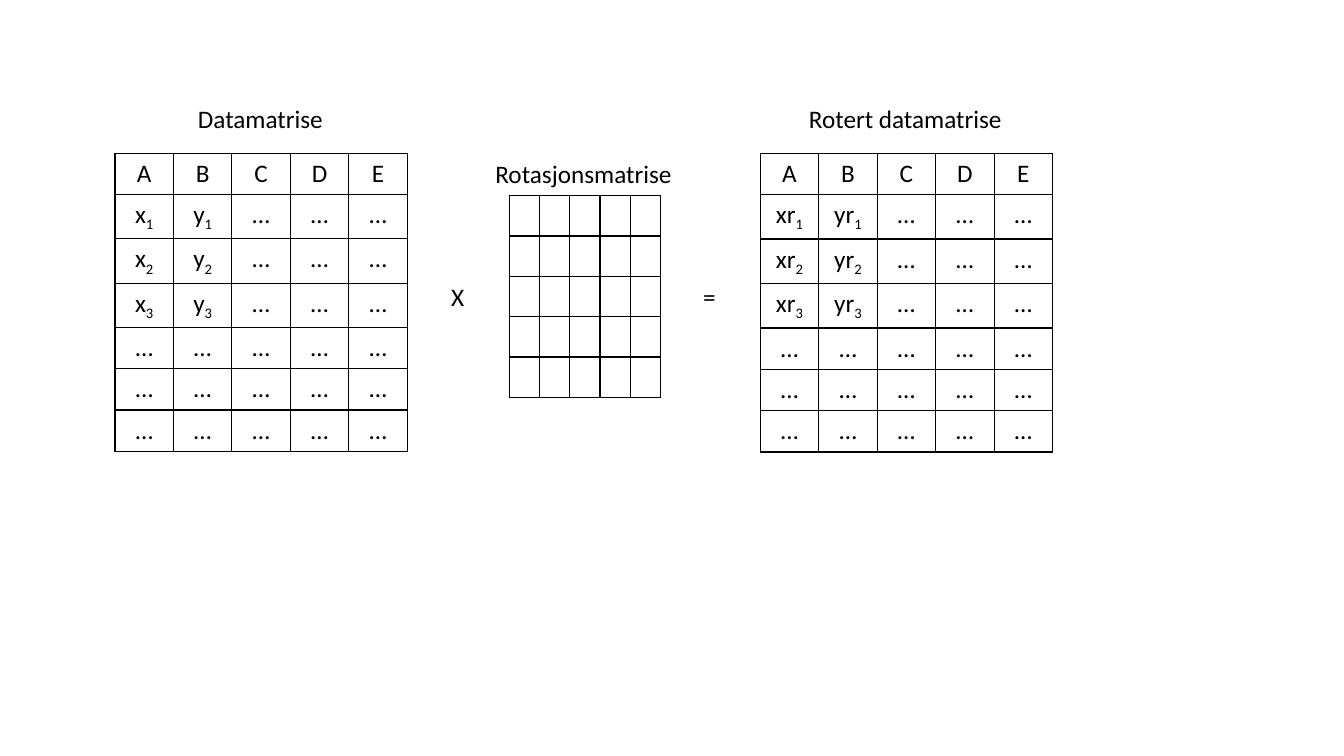
from lxml.etree import SubElement
from pptx import Presentation
from pptx.dml.color import RGBColor
from pptx.enum.text import MSO_AUTO_SIZE as AutoSize, PP_ALIGN as Align
from pptx.oxml.ns import qn
from pptx.util import Inches, Pt

BLACK = RGBColor(0, 0, 0)
FONT = "Calibri"
TEXT_SIZE = Pt(18)
BORDER = Pt(1)
COLUMNS = 5
DATA_COLUMN, DATA_ROW = 0.58, 0.41
ROTATION_COLUMN, ROTATION_ROW = 0.3, 0.4
DATA_LEFT, ROTATION_LEFT, RESULT_LEFT = 1.14, 5.05, 7.54
DATA_TOP, ROTATION_TOP = 1.52, 1.94
LABEL_HEIGHT = 0.4
DOTS = "…"


def add_span(para, text, subscript=False):
    span = para.add_run()
    span.text = text
    span.font.name = FONT
    span.font.size = TEXT_SIZE
    span.font.color.rgb = BLACK
    if subscript:
        span.font._element.set("baseline", "-25000")


def draw_borders(cell):
    properties = cell._tc.get_or_add_tcPr()
    for side in ("lnL", "lnR", "lnT", "lnB"):
        line = SubElement(properties, qn(f"a:{side}"), w=str(BORDER))
        fill = SubElement(line, qn("a:solidFill"))
        SubElement(fill, qn("a:srgbClr"), val=str(BLACK))


def fill_cell(cell, text):
    draw_borders(cell)
    cell.fill.background()
    para = cell.text_frame.paragraphs[0]
    para.alignment = Align.CENTER
    para.font.size = TEXT_SIZE
    name = text.rstrip("123")
    index = text[len(name):]
    if name:
        add_span(para, name)
    if index:
        add_span(para, index, subscript=True)


def add_matrix(page, left, top, column_width, row_height, rows):
    frame = page.shapes.add_table(
        len(rows), COLUMNS, Inches(left), Inches(top),
        Inches(COLUMNS * column_width), Inches(len(rows) * row_height))
    table = frame.table
    table.first_row = False
    table.horz_banding = False
    for r, row in enumerate(rows):
        for c, text in enumerate(row):
            fill_cell(table.cell(r, c), text)


def add_label(page, text, center, top, width):
    box = page.shapes.add_textbox(
        Inches(center - width / 2), Inches(top), Inches(width), Inches(LABEL_HEIGHT))
    box.text_frame.word_wrap = False
    box.text_frame.auto_size = AutoSize.SHAPE_TO_FIT_TEXT
    add_span(box.text_frame.paragraphs[0], text)


def data_rows(x_name, y_name):
    points = [[f"{x_name}{i}", f"{y_name}{i}"] + [DOTS] * 3 for i in (1, 2, 3)]
    return [list("ABCDE")] + points + [[DOTS] * COLUMNS] * 3


def main():
    deck = Presentation()
    deck.slide_width, deck.slide_height = Inches(13.33), Inches(7.5)
    page = deck.slides.add_slide(deck.slide_layouts[6])

    data_half = COLUMNS * DATA_COLUMN / 2
    rotation_half = COLUMNS * ROTATION_COLUMN / 2

    for title, left, width, names in (
            ("Datamatrise", DATA_LEFT, 1.45, ("x", "y")),
            ("Rotert datamatrise", RESULT_LEFT, 2.13, ("xr", "yr"))):
        add_matrix(page, left, DATA_TOP, DATA_COLUMN, DATA_ROW, data_rows(*names))
        add_label(page, title, left + data_half, 0.98, width)

    add_matrix(page, ROTATION_LEFT, ROTATION_TOP, ROTATION_COLUMN, ROTATION_ROW,
               [[""] * COLUMNS] * 5)
    add_label(page, "Rotasjonsmatrise", ROTATION_LEFT + rotation_half, DATA_TOP, 1.97)

    for sign, center in (("X", 4.54), ("=", 7.04)):
        add_label(page, sign, center, 2.74, 0.33)

    deck.save("out.pptx")


if __name__ == "__main__":
    main()
